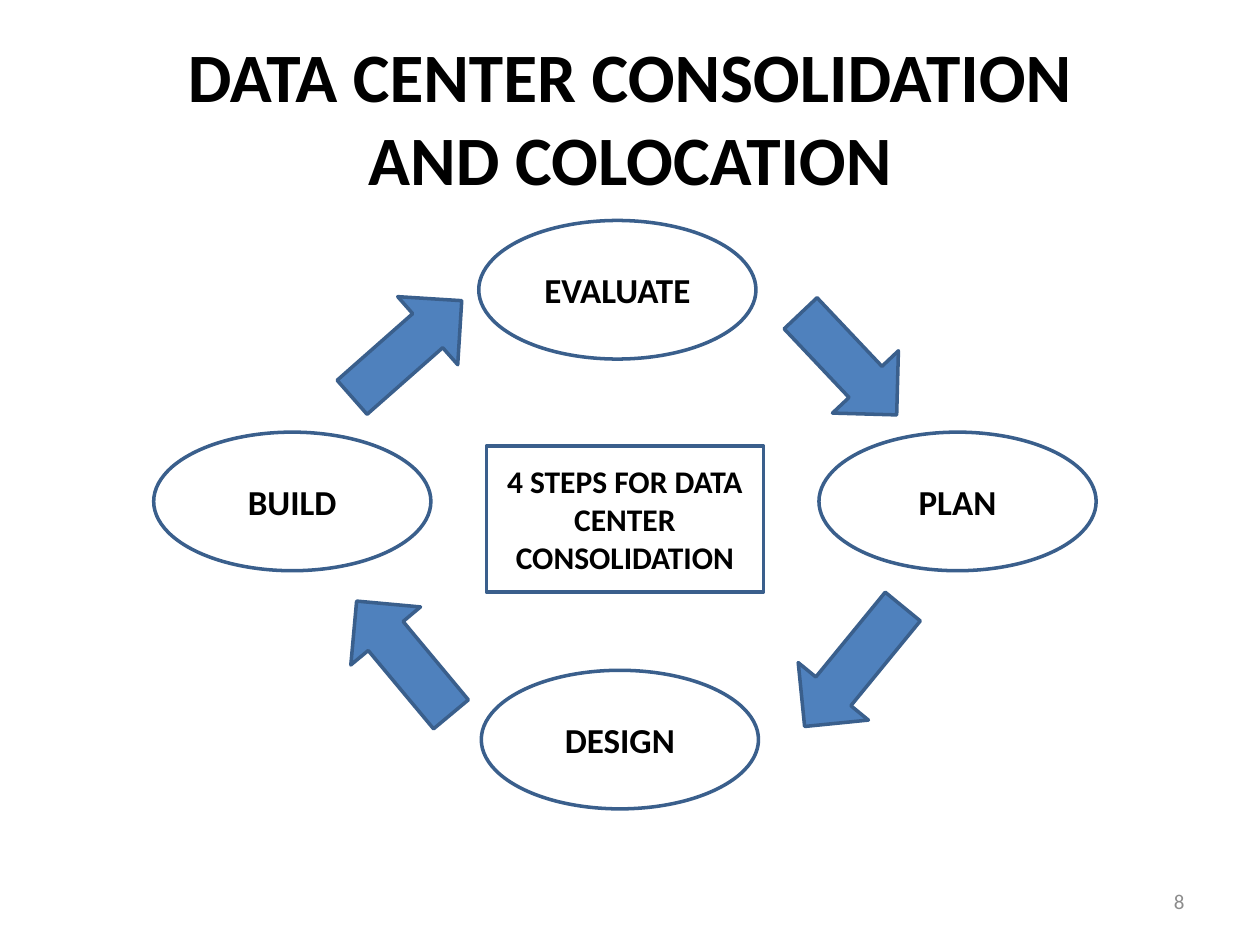
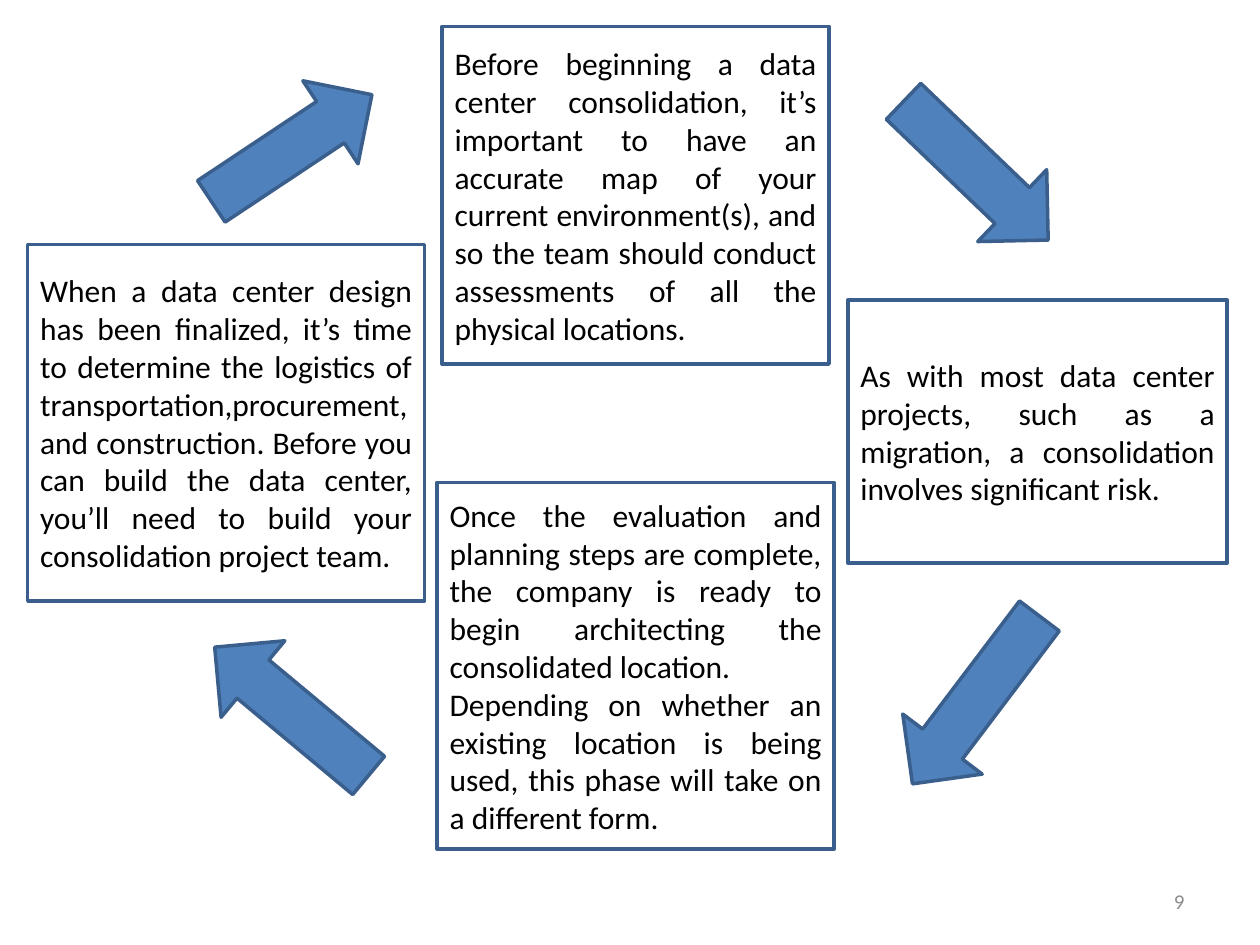
from pptx import Presentation
from pptx.dml.color import RGBColor
from pptx.enum.shapes import MSO_SHAPE
from pptx.enum.text import MSO_ANCHOR, PP_ALIGN
from pptx.util import Inches, Pt

BLACK = RGBColor(0x00, 0x00, 0x00)
GREY = RGBColor(0x8C, 0x8C, 0x8C)
BLUE = RGBColor(0x4F, 0x81, 0xBD)
DARK_BLUE = RGBColor(0x3A, 0x5F, 0x8C)
FONT = "Calibri"

ELLIPSE, RECTANGLE, ARROW = MSO_SHAPE.OVAL, MSO_SHAPE.RECTANGLE, MSO_SHAPE.RIGHT_ARROW
CENTER, JUSTIFY, RIGHT = PP_ALIGN.CENTER, PP_ALIGN.JUSTIFY, PP_ALIGN.RIGHT
MIDDLE = MSO_ANCHOR.MIDDLE
TITLE_ONLY, BLANK = 5, 6

TITLE = "DATA CENTER CONSOLIDATION\vAND COLOCATION"

# Step name, left, top
STEP_SIZE = (2.2, 1.1)
STEPS = [
    ("EVALUATE", 3.8, 1.75),
    ("PLAN", 6.5, 3.43),
    ("DESIGN", 3.82, 5.32),
    ("BUILD", 1.22, 3.43),
]
HUB_LINES = ["4 STEPS FOR DATA", "CENTER", "CONSOLIDATION"]
HUB_PLACE = (3.86, 3.54, 2.2, 1.16)

# Left, top, length, rotation in degrees, clockwise from the top step
STEP_ARROW_HEIGHT = 0.72
STEP_ARROWS = [
    (6.18, 2.53, 1.11, 46.6),
    (6.16, 4.93, 1.23, 129.3),
    (2.62, 4.86, 1.17, 230.2),
    (2.65, 2.41, 1.16, 318.6),
]
DETAIL_ARROW_HEIGHT = 0.79
DETAIL_ARROWS = [
    (6.95, 0.96, 1.59, 43.8),
    (6.91, 5.16, 1.67, 127.1),
    (1.52, 5.25, 1.59, 219.8),
    (1.55, 0.78, 1.53, 326.4),
]

# Place of each box and its paragraphs
DETAILS = [
    ((3.51, 0.21, 3.07, 2.68), [
        "Before beginning a data center consolidation, it’s important to have an "
        "accurate map of your current environment(s), and so the team should "
        "conduct assessments of all the physical locations."]),
    ((6.73, 2.38, 3.01, 2.09), [
        "As with most data center projects, such as a migration, a consolidation "
        "involves significant risk."]),
    ((3.47, 3.83, 3.15, 2.91), [
        "Once the evaluation and planning steps are complete, the company is ready "
        "to begin architecting the consolidated location.",
        "Depending on whether an existing location is being used, this phase will "
        "take on a different form."]),
    ((0.22, 1.94, 3.15, 2.83), [
        "When a data center design has been finalized, it’s time to determine the "
        "logistics of transportation,procurement, and construction. Before you can "
        "build the data center, you’ll need to build your consolidation project "
        "team."]),
]


def inches(place):
    return [Inches(length) for length in place]


def write(box, lines, size, align, color=BLACK, bold=False):
    frame = box.text_frame
    frame.word_wrap = True
    frame.vertical_anchor = MIDDLE
    frame.text = "\n".join(lines)
    for para in frame.paragraphs:
        para.alignment = align
        para.font.name = FONT
        para.font.size = Pt(size)
        para.font.bold = bold
        para.font.color.rgb = color


def add_outlined(page, kind, place):
    shape = page.shapes.add_shape(kind, *inches(place))
    shape.shadow.inherit = False
    shape.fill.background()
    shape.line.color.rgb = DARK_BLUE
    shape.line.width = Pt(2)
    return shape


def add_arrows(page, arrows, height):
    for left, top, length, rotation in arrows:
        arrow = add_outlined(page, ARROW, (left, top, length, height))
        arrow.fill.solid()
        arrow.fill.fore_color.rgb = BLUE
        arrow.rotation = rotation


def add_page(deck, layout, number):
    page = deck.slides.add_slide(deck.slide_layouts[layout])
    box = page.shapes.add_textbox(*inches((7.17, 6.95, 2.33, 0.4)))
    write(box, [str(number)], 12, RIGHT, GREY)
    return page


def build_cycle(deck):
    page = add_page(deck, TITLE_ONLY, 8)
    title = page.shapes.title
    title.left, title.top, title.width, title.height = inches((0.5, 0.3, 9, 1.25))
    write(title, [TITLE], 39.6, CENTER, bold=True)
    for name, left, top in STEPS:
        step = add_outlined(page, ELLIPSE, (left, top, *STEP_SIZE))
        write(step, [name], 20, CENTER, bold=True)
    add_arrows(page, STEP_ARROWS, STEP_ARROW_HEIGHT)
    hub = add_outlined(page, RECTANGLE, HUB_PLACE)
    write(hub, HUB_LINES, 18, CENTER, bold=True)


def build_details(deck):
    page = add_page(deck, BLANK, 9)
    for place, paragraphs in DETAILS:
        write(add_outlined(page, RECTANGLE, place), paragraphs, 18, JUSTIFY)
    add_arrows(page, DETAIL_ARROWS, DETAIL_ARROW_HEIGHT)


def main():
    deck = Presentation()
    deck.slide_width, deck.slide_height = inches((10, 7.5))
    build_cycle(deck)
    build_details(deck)
    deck.save("out.pptx")


if __name__ == "__main__":
    main()
